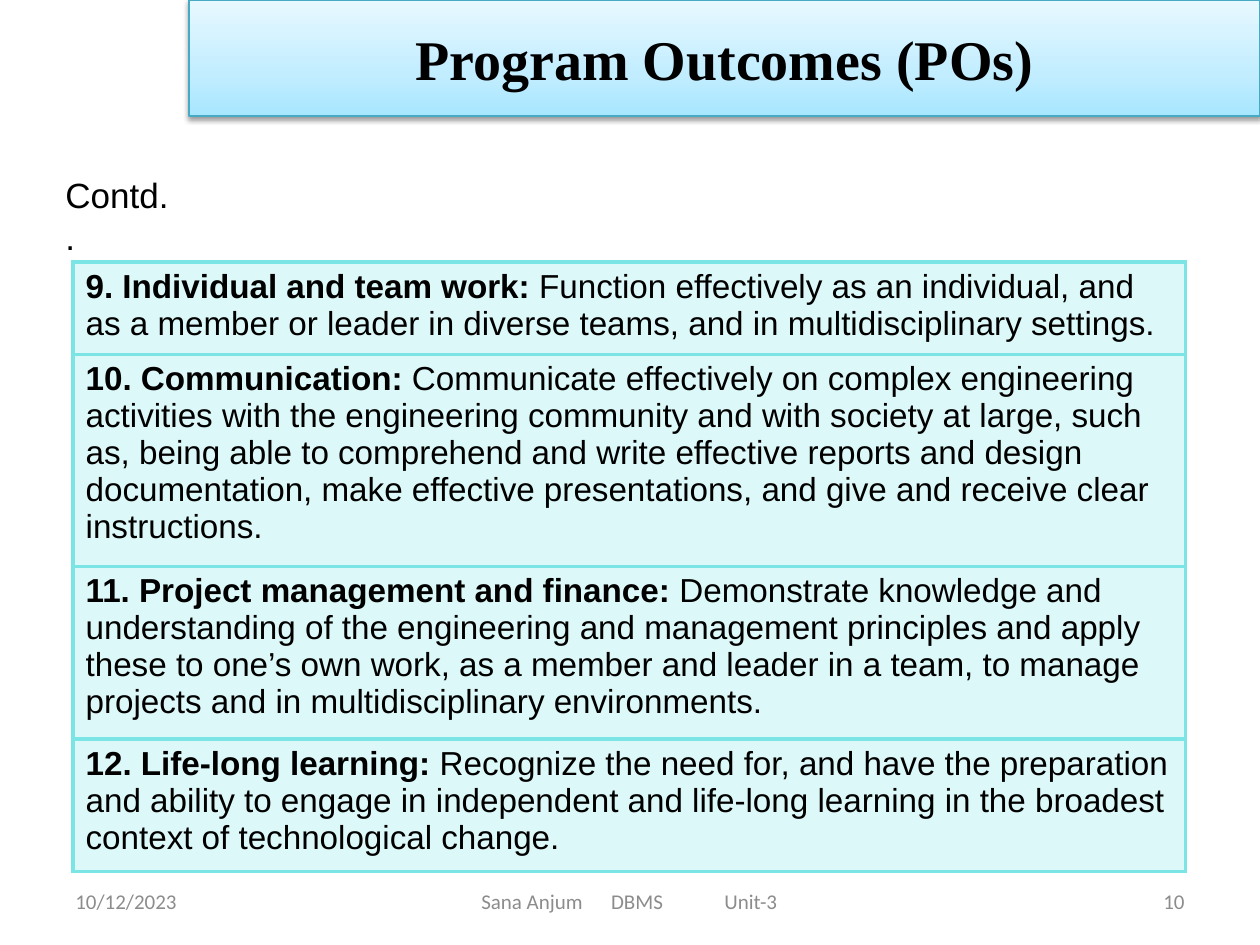
import copy

import pptx
import pptx.dml.color
import pptx.enum.text
import pptx.oxml
import pptx.oxml.ns
import pptx.util
from lxml import etree

Inches = pptx.util.Inches
Pt = pptx.util.Pt
RGBColor = pptx.dml.color.RGBColor
PP_ALIGN = pptx.enum.text.PP_ALIGN
MSO_ANCHOR = pptx.enum.text.MSO_ANCHOR
qn = pptx.oxml.ns.qn

BLACK = RGBColor(0x00, 0x00, 0x00)
GRAY = RGBColor(0x8C, 0x8C, 0x8C)
AQUA = RGBColor(0x7B, 0xE5, 0xE5)
TEAL = RGBColor(0x46, 0xAA, 0xC5)
BANNER_STOPS = [
    (0, RGBColor(0xA7, 0xE6, 0xFF)),
    (0.35, RGBColor(0xC1, 0xED, 0xFF)),
    (1, RGBColor(0xE7, 0xF8, 0xFF)),
]

TITLE = "Program Outcomes (POs)"
OUTCOMES = [
    ("9. Individual and team work: ",
     "Function effectively as an individual, and as a member or leader in diverse teams, "
     "and in multidisciplinary settings.", 0.73),
    ("10. Communication: ",
     "Communicate effectively on complex engineering activities with the engineering "
     "community and with society at large, such as, being able to comprehend and write "
     "effective reports and design documentation, make effective presentations, and give "
     "and receive clear instructions.", 1.37),
    ("11. Project management and finance:",
     " Demonstrate knowledge and understanding of the engineering and management "
     "principles and apply these to one’s own work, as a member and leader in a team, "
     "to manage projects and in multidisciplinary environments.", 1.37),
    ("12. Life-long learning: ",
     "Recognize the need for, and have the preparation and ability to engage in "
     "independent and life-long learning in the broadest context of technological "
     "change.", 1.05),
]
FOOTERS = [
    ("10/12/2023", 0.5, 2.33, PP_ALIGN.LEFT, 0.1, []),
    ("Sana Anjum\tDBMS\tUnit-3", 3.42, 3.17, PP_ALIGN.LEFT, 0.4, [1.03, 1.93]),
    ("10", 7.17, 2.33, PP_ALIGN.RIGHT, 0.1, []),
]


def add_run(p, text, font, size, color, bold=False):
    r = p.add_run()
    r.text = text
    r.font.name = font
    r.font.size = Pt(size)
    r.font.bold = bold
    r.font.color.rgb = color


def add_text(s, text, box, font, size, color, anchor=MSO_ANCHOR.TOP):
    sp = s.shapes.add_textbox(*[Inches(v) for v in box])
    tf = sp.text_frame
    tf.word_wrap = True
    tf.vertical_anchor = anchor
    add_run(tf.paragraphs[0], text, font, size, color)
    return tf


def add_banner(s):
    sp = s.shapes.title
    sp.left, sp.top, sp.width, sp.height = [Inches(v) for v in (1.5, 0, 8.5, 0.92)]
    sp.fill.gradient()
    sp.fill.gradient_angle = 90
    stops = sp._element.spPr.find(".//" + qn("a:gsLst"))
    stops.insert(1, copy.deepcopy(stops[0]))
    for stop, (position, color) in zip(sp.fill.gradient_stops, BANNER_STOPS):
        stop.position = position
        stop.color.rgb = color
    sp.line.color.rgb = TEAL
    sp.line.width = Pt(0.75)
    sp._element.spPr.append(pptx.oxml.parse_xml(
        f'<a:effectLst {pptx.oxml.ns.nsdecls("a")}>'
        f'<a:outerShdw blurRad="{Pt(3.1)}" dist="{Pt(1.6)}" dir="5400000" rotWithShape="0">'
        '<a:srgbClr val="000000"><a:alpha val="38000"/></a:srgbClr>'
        '</a:outerShdw></a:effectLst>'))
    tf = sp.text_frame
    tf.auto_size = pptx.enum.text.MSO_AUTO_SIZE.NONE
    tf.vertical_anchor = MSO_ANCHOR.MIDDLE
    p = tf.paragraphs[0]
    p.alignment = PP_ALIGN.CENTER
    add_run(p, TITLE, "Times New Roman", 32, BLACK, True)


def style_cell(cell):
    tcPr = cell._tc.get_or_add_tcPr()
    for side in ("lnL", "lnR", "lnT", "lnB"):
        ln = etree.SubElement(tcPr, qn("a:" + side), w=str(Pt(2.25)))
        fill = etree.SubElement(ln, qn("a:solidFill"))
        etree.SubElement(fill, qn("a:srgbClr"), val=str(AQUA))
    cell.fill.solid()
    cell.fill.fore_color.rgb = AQUA
    color = tcPr.find(qn("a:solidFill")).find(qn("a:srgbClr"))
    etree.SubElement(color, qn("a:alpha"), val="25000")


def add_outcomes(s):
    heights = [Inches(h) for _, _, h in OUTCOMES]
    table = s.shapes.add_table(len(OUTCOMES), 1, Inches(0.58), Inches(2.08),
                               Inches(8.83), sum(heights)).table
    table.first_row = False
    table.horz_banding = False
    for i, (name, description, _) in enumerate(OUTCOMES):
        table.rows[i].height = heights[i]
        cell = table.cell(i, 0)
        style_cell(cell)
        p = cell.text_frame.paragraphs[0]
        add_run(p, name, "Arial", 19, BLACK, True)
        add_run(p, description, "Arial", 19, BLACK)


def add_footers(s):
    for text, left, width, align, inset, tabs in FOOTERS:
        tf = add_text(s, text, (left, 6.95, width, 0.4), "Calibri", 12, GRAY,
                      MSO_ANCHOR.MIDDLE)
        tf.margin_left = Inches(inset)
        p = tf.paragraphs[0]
        p.alignment = align
        if tabs:
            tab_list = etree.SubElement(p._p.get_or_add_pPr(), qn("a:tabLst"))
            for pos in tabs:
                etree.SubElement(tab_list, qn("a:tab"), pos=str(Inches(pos)), algn="l")


def main():
    prs = pptx.Presentation()
    prs.slide_width, prs.slide_height = Inches(10), Inches(7.5)
    s = prs.slides.add_slide(prs.slide_layouts[5])
    add_footers(s)
    add_outcomes(s)
    add_text(s, "Contd..", (0.42, 1.33, 1.02, 0.44), "Arial", 20, BLACK)
    add_banner(s)
    prs.save("out.pptx")


if __name__ == "__main__":
    main()
